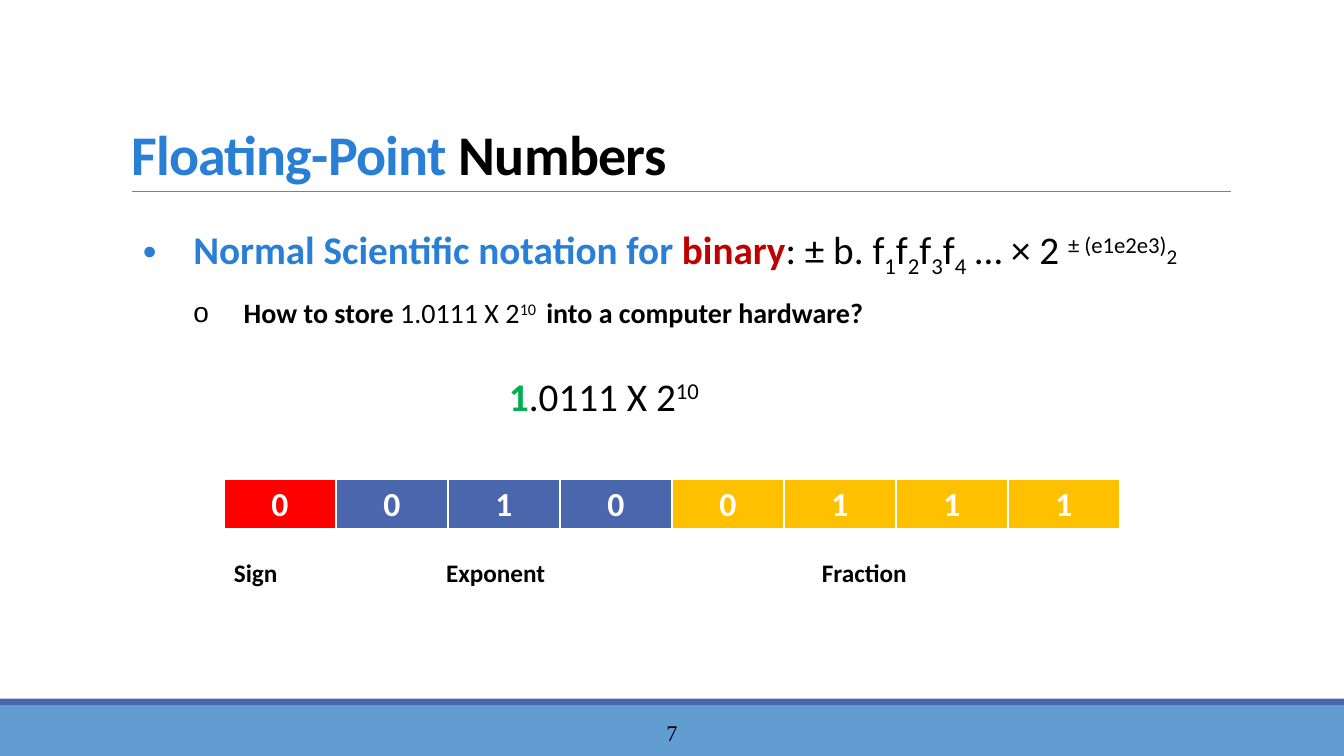
from lxml.etree import SubElement
from pptx import Presentation
from pptx.dml.color import RGBColor
from pptx.enum.shapes import MSO_CONNECTOR as Connector, MSO_SHAPE as Shape
from pptx.enum.text import MSO_ANCHOR as Anchor, PP_ALIGN as Align
from pptx.oxml.ns import qn
from pptx.util import Pt

BLACK = RGBColor(0x00, 0x00, 0x00)
WHITE = RGBColor(0xFF, 0xFF, 0xFF)
BLUE = RGBColor(0x29, 0x7F, 0xD5)
DARK_RED = RGBColor(0xC0, 0x00, 0x00)
GREEN = RGBColor(0x00, 0xB0, 0x50)
RED = RGBColor(0xFF, 0x00, 0x00)
INDIGO = RGBColor(0x4A, 0x66, 0xAC)
GOLD = RGBColor(0xFF, 0xC0, 0x00)
SKY = RGBColor(0x62, 0x9D, 0xD1)
GRAY = RGBColor(0x80, 0x80, 0x80)

# Content: spans are (text, size, colour, bold, baseline in percent)
TITLE = [("Floating-Point", 40, BLUE, True, 0), (" Numbers", 40, BLACK, True, 0)]
NOTATION = [
    ("Normal Scientific notation for ", 28, BLUE, True, 0),
    ("binary", 28, DARK_RED, True, 0),
    (": ± b. ", 28, BLACK, False, 0),
]
for digit in "1234":
    NOTATION += [("f", 28, BLACK, False, 0), (digit, 28, BLACK, False, -25)]
NOTATION += [
    (" … × 2 ", 28, BLACK, False, 0),
    ("± (e1e2e3)", 28, BLACK, False, 30),
    ("2", 15, BLACK, False, 0),
]
QUESTION = [
    ("How to store ", 20, BLACK, True, 0),
    ("1.0111 X 2", 20, BLACK, False, 0),
    ("10 ", 20, BLACK, False, 30),
    (" into a computer hardware?", 20, BLACK, True, 0),
]
BULLETS = [("•", NOTATION), ("o", QUESTION)]
NUMBER = [
    ("1", 28, GREEN, True, 0),
    (".0111 X 2", 28, BLACK, False, 0),
    ("10", 28, BLACK, False, 30),
]
FIELDS = [("0", RED), ("010", INDIGO), ("0111", GOLD)]
# Labels are (text, left, width)
LABELS = [("Sign", 160, 46), ("Exponent", 311.5, 90), ("Fraction", 580, 76)]
PAGE_NUMBER = "7"

PAGE_WIDTH, PAGE_HEIGHT = 960, 540
BIT_WIDTH, BIT_HEIGHT = 80, 36
INDENT = 36


def add_spans(para, spans, font="Calibri"):
    for text, size, colour, bold, baseline in spans:
        span = para.add_run()
        span.text = text
        span.font.name = font
        span.font.size = Pt(size)
        span.font.bold = bold
        span.font.color.rgb = colour
        if baseline:
            span.font._element.set("baseline", str(baseline * 1000))


def add_box(page, left, top, width, height, wrap=False):
    box = page.shapes.add_textbox(Pt(left), Pt(top), Pt(width), Pt(height))
    box.text_frame.word_wrap = wrap
    return box.text_frame


def add_band(page, top, height, colour):
    band = page.shapes.add_shape(Shape.RECTANGLE, 0, Pt(top), Pt(PAGE_WIDTH), Pt(height))
    band.shadow.inherit = False
    band.fill.solid()
    band.fill.fore_color.rgb = colour
    band.line.fill.background()


def add_bullet(para, level, mark):
    properties = para._p.get_or_add_pPr()
    properties.set("marL", str(Pt(INDENT * (level + 1))))
    properties.set("indent", str(-Pt(INDENT)))
    SubElement(properties, qn("a:buFont"), typeface="Arial")
    SubElement(properties, qn("a:buChar"), char=mark)
    para.level = level
    para.line_spacing = 1.5


def set_borders(cell):
    properties = cell._tc.get_or_add_tcPr()
    for place, (side, width) in enumerate([("lnL", 1), ("lnR", 1), ("lnT", 1), ("lnB", 3)]):
        line = SubElement(properties, qn("a:" + side), w=str(Pt(width)))
        fill = SubElement(line, qn("a:solidFill"))
        SubElement(fill, qn("a:srgbClr"), val=str(WHITE))
        properties.insert(place, line)


def main():
    deck = Presentation()
    deck.slide_width, deck.slide_height = Pt(PAGE_WIDTH), Pt(PAGE_HEIGHT)
    page = deck.slides.add_slide(deck.slide_layouts[5])

    # Footer bands and page number
    add_band(page, 504, 36, SKY)
    add_band(page, 499, 5, INDIGO)
    frame = add_box(page, 290, 508.5, 380, 29, wrap=True)
    frame.vertical_anchor = Anchor.MIDDLE
    frame.paragraphs[0].alignment = Align.CENTER
    add_spans(frame.paragraphs[0], [(PAGE_NUMBER, 16, BLACK, False, 0)], "Times New Roman")

    # Title and the rule under it
    title = page.shapes.title
    title.left, title.top, title.width, title.height = Pt(86.5), Pt(22.5), Pt(792), Pt(114.5)
    title.text_frame.vertical_anchor = Anchor.BOTTOM
    heading = title.text_frame.paragraphs[0]
    heading.alignment = Align.LEFT
    heading.line_spacing = 0.85
    add_spans(heading, TITLE)
    for span in heading.runs:
        span.font._element.set("spc", "-50")
    rule = page.shapes.add_connector(Connector.STRAIGHT, Pt(94.5), Pt(136.5), Pt(879), Pt(136.5))
    rule.line.color.rgb = GRAY
    rule.line.width = Pt(0.5)
    SubElement(rule._element.spPr, qn("a:effectLst"))

    # Bulleted text
    frame = add_box(page, 95, 138.5, 783, 91, wrap=True)
    for level, (mark, spans) in enumerate(BULLETS):
        para = frame.add_paragraph() if level else frame.paragraphs[0]
        add_bullet(para, level, mark)
        add_spans(para, spans)

    # Number to be stored
    add_spans(add_box(page, 356.5, 262.5, 161, 41).paragraphs[0], NUMBER)

    # Bit pattern, one cell for each bit
    bits = [(bit, colour) for field, colour in FIELDS for bit in field]
    table = page.shapes.add_table(
        1, len(bits), Pt(160), Pt(342.5), Pt(BIT_WIDTH * len(bits)), Pt(BIT_HEIGHT)).table
    for column, (bit, colour) in enumerate(bits):
        cell = table.cell(0, column)
        cell.fill.solid()
        cell.fill.fore_color.rgb = colour
        set_borders(cell)
        para = cell.text_frame.paragraphs[0]
        para.alignment = Align.CENTER
        add_spans(para, [(bit, 24, WHITE, True, 0)])

    # Field labels
    for label, left, width in LABELS:
        frame = add_box(page, left, 394.5, width, 29)
        add_spans(frame.paragraphs[0], [(label, 18, BLACK, True, 0)])

    deck.save("out.pptx")


if __name__ == "__main__":
    main()
